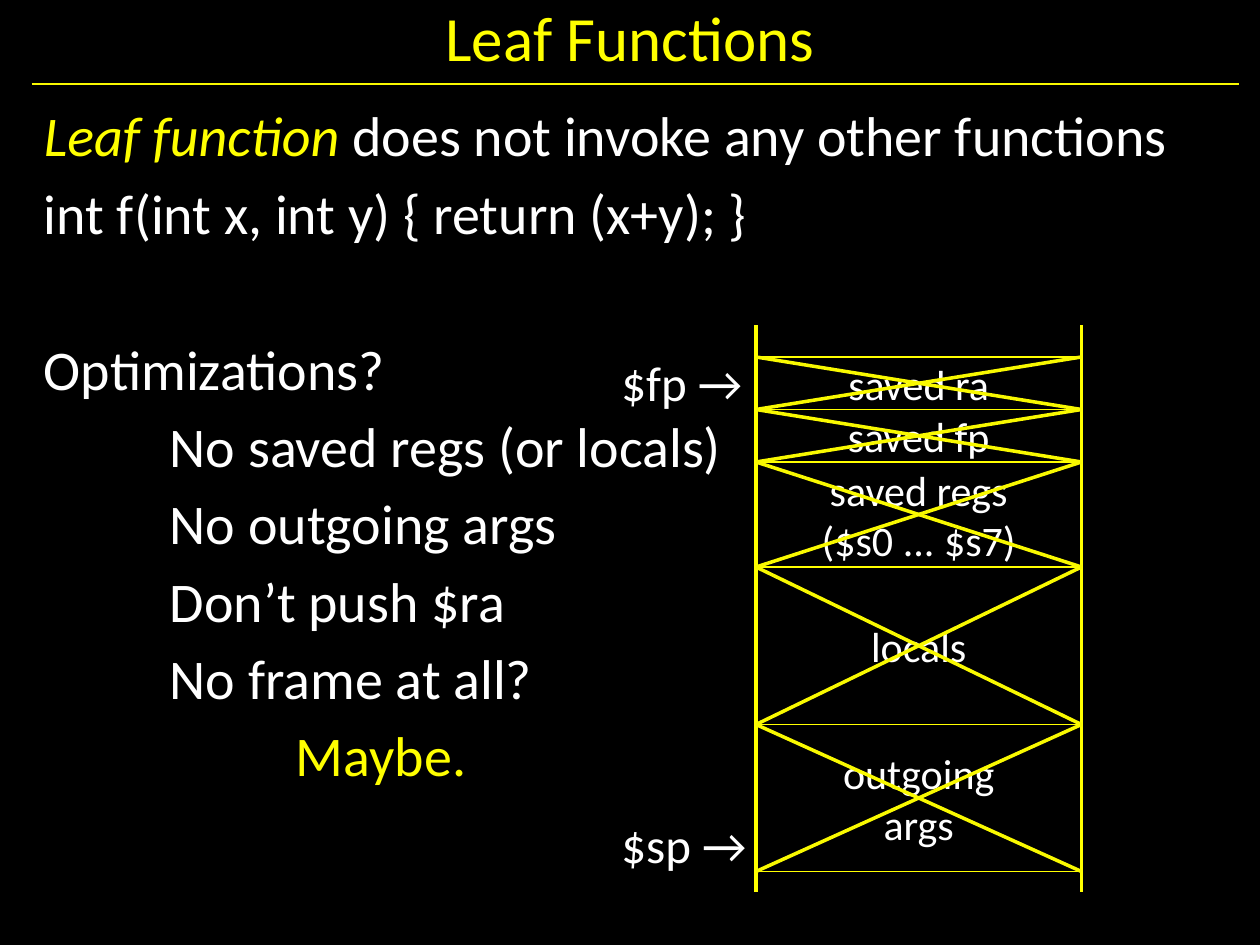
"""Build the Leaf Functions slide with its crossed-out stack frame."""
from dataclasses import dataclass
from itertools import accumulate

from lxml import etree
from pptx import Presentation
from pptx import util as u
from pptx.dml.color import RGBColor
from pptx.enum import shapes, text
from pptx.oxml.ns import qn


@dataclass(frozen=True)
class Theme:
    font: str = "Calibri"
    back: str = "000000"
    body: str = "FFFFFF"
    accent: str = "FFFF00"
    stroke: str = "F9F900"
    title_pt: int = 36
    body_pt: int = 32
    label_pt: int = 28
    frame_pt: int = 24
    gap_pt: float = 5.8


@dataclass(frozen=True)
class Run:
    text: str
    color: str
    italic: bool = False


@dataclass(frozen=True)
class Line:
    runs: tuple[Run, ...]
    indent: int = 0
    before: float = 0


@dataclass(frozen=True)
class Slot:
    lines: tuple[str, ...]
    rows: int


T = Theme()
UNIT = u.Inches(1) // 12
LEFT, RIGHT, TOP = 72, 103, 34
RAIL_TOP, RAIL_BOTTOM = 31, 85

BODY = (
    Line((Run("Leaf function ", T.accent, True),
          Run("does not invoke any other functions", T.body))),
    Line((Run("int f(int x, int y) { return (x+y); }", T.body),), 0, T.gap_pt),
    Line((Run("Optimizations?", T.body),), 0, 50.7),
    *(Line((Run(idea, T.body),), 1, T.gap_pt) for idea in (
        "No saved regs (or locals)", "No outgoing args",
        "Don’t push $ra", "No frame at all?")),
    Line((Run("Maybe.", T.accent),), 2, T.gap_pt),
)
SLOTS = (
    Slot(("saved ra",), 5),
    Slot(("saved fp",), 5),
    Slot(("saved regs", "($s0 ... $s7)"), 10),
    Slot(("locals",), 15),
    Slot(("outgoing", "args"), 14),
)
POINTERS = (("$fp →", 33), ("$sp →", 77))


def grid(*cells: float) -> list[int]:
    return [round(c * UNIT) for c in cells]


def add_run(p, content: str, size: float, color: str, italic: bool = False) -> None:
    r = p.add_run()
    r.text = content
    r.font.name, r.font.size, r.font.italic = T.font, u.Pt(size), italic
    r.font.color.rgb = RGBColor.from_string(color)


def add_box(s, x: float, y: float, w: float, h: float, wrap: bool = True):
    tf = s.shapes.add_textbox(*grid(x, y, w, h)).text_frame
    tf.word_wrap = wrap
    return tf


def add_line(s, x1: float, y1: float, x2: float, y2: float,
             color: str, width: float) -> None:
    sp = s.shapes.add_connector(shapes.MSO_CONNECTOR.STRAIGHT, *grid(x1, y1, x2, y2))
    sp.line.color.rgb = RGBColor.from_string(color)
    sp.line.width = u.Pt(width)
    etree.SubElement(sp._element.spPr, qn("a:effectLst"))


def add_body(s) -> None:
    tf = add_box(s, 3, 9, 114, 74)
    for i, line in enumerate(BODY):
        p = tf.add_paragraph() if i else tf.paragraphs[0]
        p.space_before = u.Pt(line.before)
        p._p.get_or_add_pPr().set("marL", str(u.Inches(line.indent)))
        for run in line.runs:
            add_run(p, run.text, T.body_pt, run.color, run.italic)


def add_slot(s, slot: Slot, top: int) -> None:
    sp = s.shapes.add_shape(shapes.MSO_SHAPE.RECTANGLE,
                            *grid(LEFT, top, RIGHT - LEFT, slot.rows))
    sp.shadow.inherit = False
    sp.fill.background()
    sp.line.color.rgb = RGBColor.from_string(T.accent)
    sp.line.width = u.Pt(1)
    tf = sp.text_frame
    tf.word_wrap = True
    tf.vertical_anchor = text.MSO_ANCHOR.MIDDLE
    p = tf.paragraphs[0]
    p.alignment = text.PP_ALIGN.CENTER
    for i, content in enumerate(slot.lines):
        if i:
            p.add_line_break()
        add_run(p, content, T.frame_pt, T.body)


def build() -> None:
    prs = Presentation()
    prs.slide_width, prs.slide_height = u.Inches(10), u.Inches(7.5)
    s = prs.slides.add_slide(prs.slide_layouts[6])
    s.background.fill.solid()
    s.background.fill.fore_color.rgb = RGBColor.from_string(T.back)

    add_line(s, 3, 8, 118, 8, T.stroke, 0.75)
    tf = add_box(s, 3, 0, 114, 7)
    tf.vertical_anchor = text.MSO_ANCHOR.MIDDLE
    tf.paragraphs[0].alignment = text.PP_ALIGN.CENTER
    add_run(tf.paragraphs[0], "Leaf Functions", T.title_pt, T.accent)
    add_body(s)

    for x in (LEFT, RIGHT):
        add_line(s, x, RAIL_TOP, x, RAIL_BOTTOM, T.accent, 2.25)
    tops = list(accumulate((slot.rows for slot in SLOTS), initial=TOP))
    for slot, top in zip(SLOTS, tops):
        add_slot(s, slot, top)
    for label, y in POINTERS:
        tf = add_box(s, 58, y, 14.5, 7, wrap=False)
        add_run(tf.paragraphs[0], label, T.label_pt, T.body)
    for top, bottom in zip(tops, tops[1:]):
        add_line(s, LEFT, top, RIGHT, bottom, T.stroke, 2)
        add_line(s, LEFT, bottom, RIGHT, top, T.stroke, 2)
    prs.save("out.pptx")


build()
